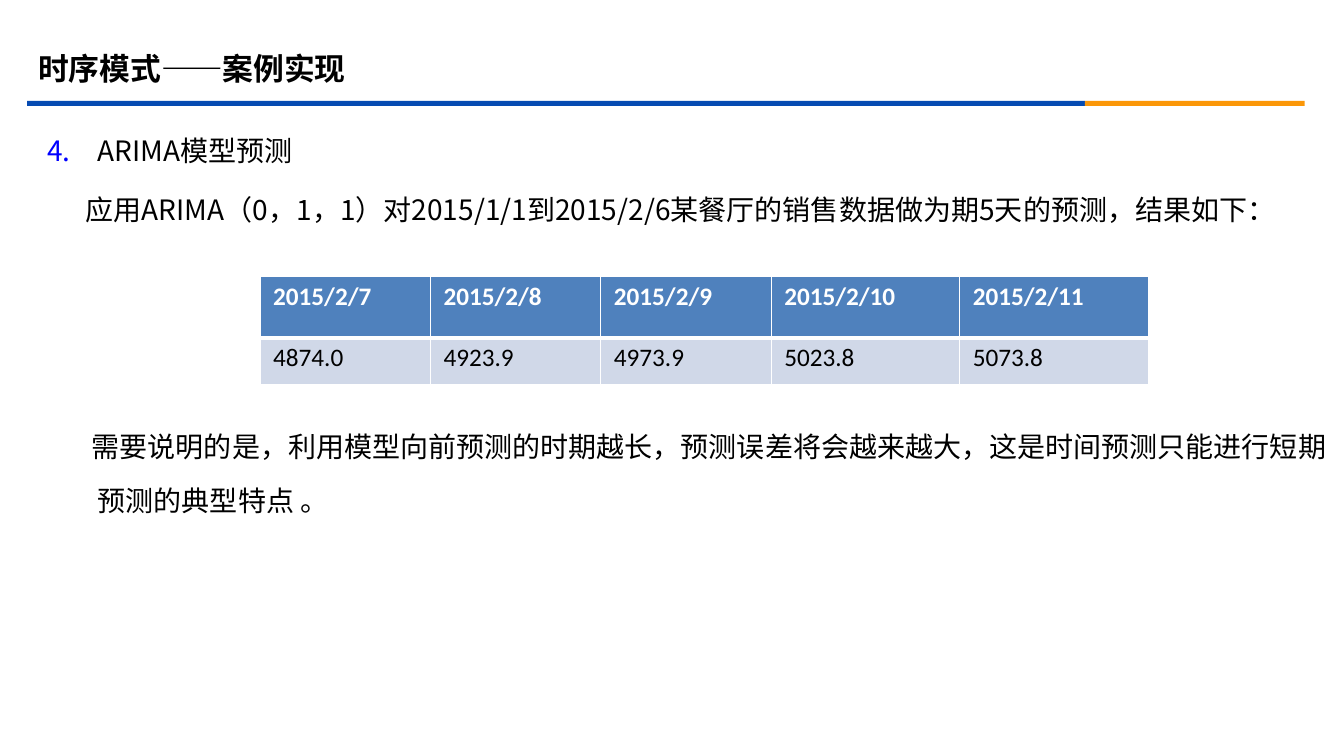
from lxml.etree import SubElement
from pptx import Presentation
from pptx.dml.color import RGBColor
from pptx.enum.shapes import MSO_SHAPE
from pptx.enum.text import MSO_ANCHOR
from pptx.oxml.ns import qn
from pptx.util import Inches, Pt

# Content
CHINESE_FONT = "Noto Sans CJK SC"
TITLE = "时序模式——案例实现"
# text, first-line indent (inches), space before (points), number
BODY = [
    ("ARIMA模型预测", -0.5, 4, 4),
    ("应用ARIMA（0，1，1）对2015/1/1到2015/2/6某餐厅的销售数据做为期5天的预测，结果如下：",
     -0.12, 4, None),
    ("需要说明的是，利用模型向前预测的时期越长，预测误差将会越来越大，这是时间预测只能进行短期预测的典型特点 。",
     -0.06, 131, None),
]
FORECAST = [
    ("2015/2/7", "2015/2/8", "2015/2/9", "2015/2/10", "2015/2/11"),
    ("4874.0", "4923.9", "4973.9", "5023.8", "5073.8"),
]
COLUMN_WIDTHS = (1.69, 1.69, 1.69, 1.87, 1.87)
ROW_HEIGHTS = (0.61, 0.47)
# fill, font colour, bold, top border, bottom border (points)
ROW_STYLES = [("4F81BD", "FFFFFF", True, 1, 3), ("D0D8E8", "000000", False, 3, 1)]
RULE_PARTS = [(10.49, "064BB2"), (2.18, "FB9708")]


def color(hex_string):
    return RGBColor.from_string(hex_string)


def write(paragraph, text, size=20, font=CHINESE_FONT, fill="000000", bold=False):
    run = paragraph.add_run()
    run.text = text
    run.font.size = Pt(size)
    run.font.name = font
    run.font.bold = bold
    run.font.color.rgb = color(fill)
    SubElement(run.font._element, qn("a:ea"), typeface=font)


def add_text_frame(slide, left, top, width, height):
    shape = slide.shapes.add_textbox(*map(Inches, (left, top, width, height)))
    shape.text_frame.word_wrap = True
    return shape.text_frame


def number_paragraph(properties, start):
    bullet_color = SubElement(properties, qn("a:buClr"))
    SubElement(bullet_color, qn("a:srgbClr"), val="0000FF")
    SubElement(properties, qn("a:buFont"), typeface=CHINESE_FONT)
    SubElement(properties, qn("a:buAutoNum"), type="arabicPeriod", startAt=str(start))


def add_border(properties, side, points):
    line = SubElement(properties, qn(f"a:ln{side}"), w=str(Pt(points)))
    fill = SubElement(line, qn("a:solidFill"))
    SubElement(fill, qn("a:srgbClr"), val="FFFFFF")


presentation = Presentation()
presentation.slide_width = Inches(13.33)
presentation.slide_height = Inches(7.5)
slide = presentation.slides.add_slide(presentation.slide_layouts[6])

# Two-coloured rule under the title
left = 0.27
for width, fill in RULE_PARTS:
    shape = slide.shapes.add_shape(
        MSO_SHAPE.RECTANGLE, Inches(left), Inches(1), Inches(width), Inches(0.05))
    shape.shadow.inherit = False
    shape.fill.solid()
    shape.fill.fore_color.rgb = color(fill)
    shape.line.fill.background()
    left += width

# Title
title_frame = add_text_frame(slide, 0.28, 0.39, 12, 0.58)
title_frame.vertical_anchor = MSO_ANCHOR.MIDDLE
write(title_frame.paragraphs[0], TITLE, size=22, bold=True)

# Body text, with room for the table before the last paragraph
body_frame = add_text_frame(slide, 0.47, 1.12, 12.71, 4.11)
body_frame.margin_left = body_frame.margin_right = 0
body_frame.margin_top = body_frame.margin_bottom = 0
for index, (text, indent, space, number) in enumerate(BODY):
    paragraph = body_frame.add_paragraph() if index else body_frame.paragraphs[0]
    paragraph.line_spacing = 1.6
    paragraph.space_before = Pt(space)
    properties = paragraph._p.get_or_add_pPr()
    properties.set("marL", str(Inches(0.5)))
    properties.set("indent", str(Inches(indent)))
    if number:
        number_paragraph(properties, number)
    write(paragraph, text)

# Forecast table
table = slide.shapes.add_table(
    len(FORECAST), len(COLUMN_WIDTHS), Inches(2.58), Inches(2.74),
    Inches(sum(COLUMN_WIDTHS)), Inches(sum(ROW_HEIGHTS))).table
for column, width in zip(table.columns, COLUMN_WIDTHS):
    column.width = Inches(width)
for row, height, values, style in zip(table.rows, ROW_HEIGHTS, FORECAST, ROW_STYLES):
    row.height = Inches(height)
    fill, font_color, bold, top, bottom = style
    for cell, value in zip(row.cells, values):
        cell.margin_left = cell.margin_right = Inches(0.13)
        cell.margin_top = cell.margin_bottom = Inches(0.05)
        properties = cell._tc.get_or_add_tcPr()
        for side, points in (("L", 1), ("R", 1), ("T", top), ("B", bottom)):
            add_border(properties, side, points)
        cell.fill.solid()
        cell.fill.fore_color.rgb = color(fill)
        paragraph = cell.text_frame.paragraphs[0]
        paragraph.space_before = Pt(3.6)
        write(paragraph, value, size=18, font="Calibri", fill=font_color, bold=bold)

presentation.save("out.pptx")
